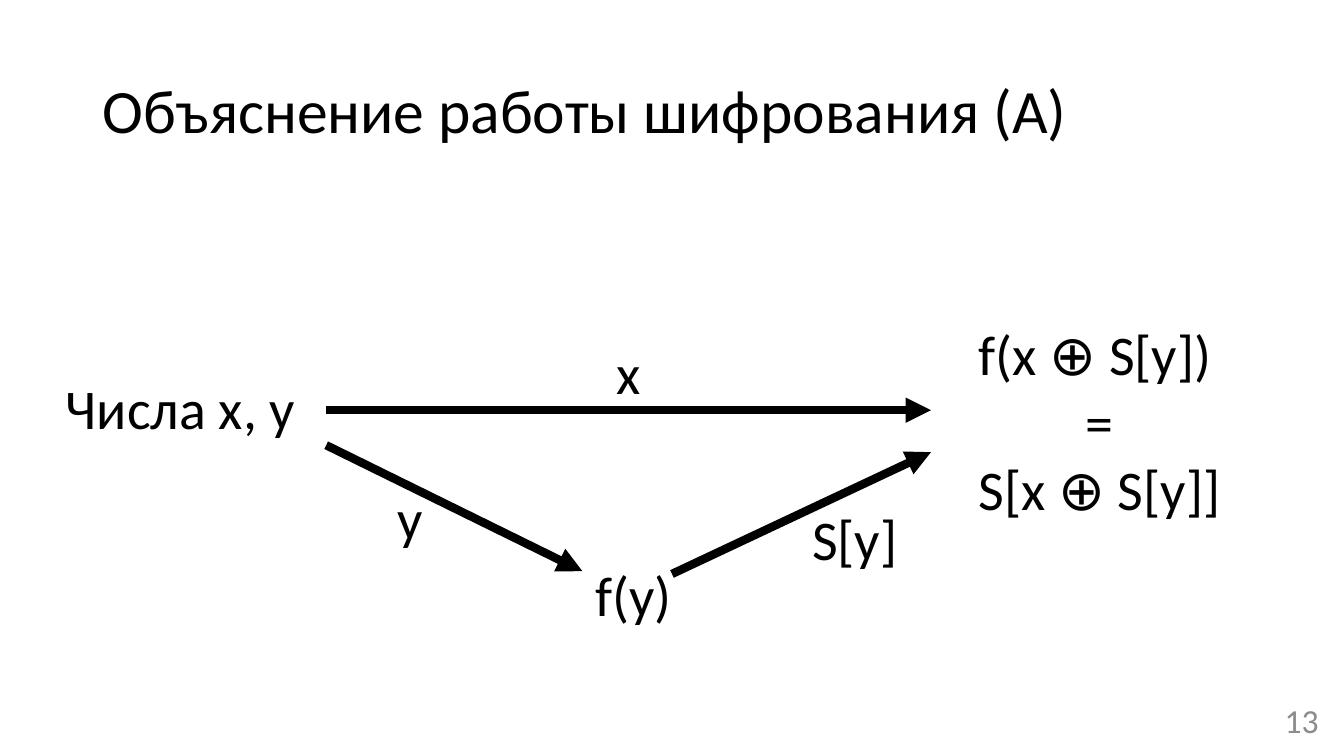
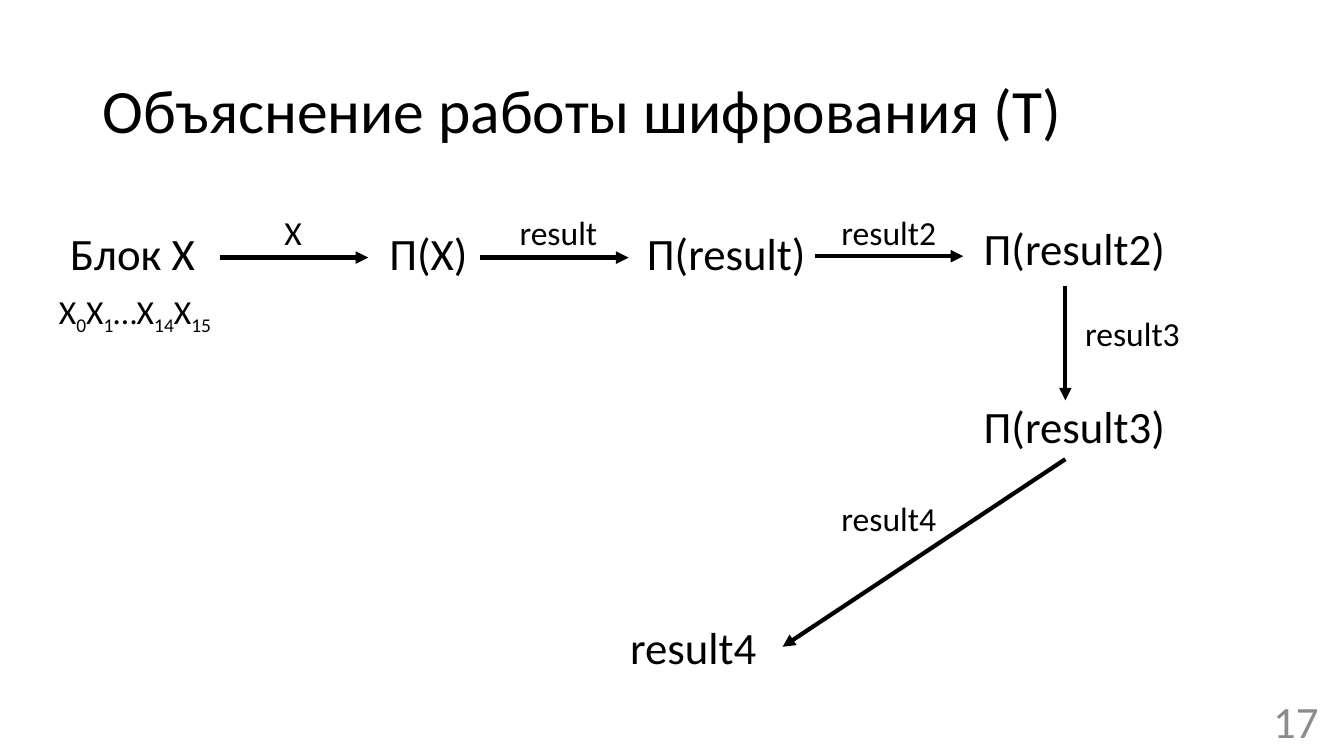
"""Build two slides that explain how the cipher works."""
from dataclasses import dataclass

from lxml import etree
from pptx import Presentation
from pptx.dml.color import RGBColor
from pptx.enum import shapes, text
from pptx.oxml import ns
from pptx.util import Pt

INK = {"black": "000000", "grey": "8C8C8C"}
FACE = "Calibri"
HIGH = {40: 55, 32: 46, 24: 36}
TITLE = {"left": 66, "top": 29, "width": 828, "height": 104}
LEAD = "Объяснение работы шифрования"
MIDDLE = text.MSO_ANCHOR.MIDDLE
FIT = {"word_wrap": False, "auto_size": text.MSO_AUTO_SIZE.SHAPE_TO_FIT_TEXT}
FIXED = {"word_wrap": True, "auto_size": text.MSO_AUTO_SIZE.NONE,
         "vertical_anchor": MIDDLE}


@dataclass
class Label:
    """Text at a place; lines split at newlines, subscripts between bars."""
    words: str
    left: float
    top: float
    width: float
    size: int
    centre: int = -1


@dataclass
class Arrow:
    """Straight arrow between two points."""
    x1: float
    y1: float
    x2: float
    y2: float


@dataclass
class Page:
    """Contents of one slide."""
    mark: str
    number: str
    size: int
    weight: float
    labels: list[Label]
    arrows: list[Arrow]


PAGES = [
    Page("(A)", "13", 24, 6, [
        Label("Числа x, y", 40, 263, 180, 40),
        Label("f(y)", 418, 397, 70, 40),
        Label("x", 433, 238, 32, 40),
        Label("y", 277, 342, 33, 40),
        Label("S[y]", 573, 357, 76, 40),
        Label("f(x ⊕ S[y])\n=\nS[x ⊕ S[y]]", 692, 225, 198, 40, 1),
    ], [
        Arrow(233, 293, 665, 293),
        Arrow(233, 318, 416, 408),
        Arrow(480, 410, 665, 323),
    ]),
    Page("(T)", "17", 32, 3, [
        Label("Блок X", 43, 158, 104, 32),
        Label("X|0|X|1|…X|14|X|15", 35, 204, 131, 24),
        Label("X", 196, 148, 27, 24),
        Label("П(X)", 271, 158, 71, 32),
        Label("result", 364, 148, 71, 24),
        Label("П(result)", 455, 158, 129, 32),
        Label("result2", 594, 148, 83, 24),
        Label("П(result2)", 695.5, 154, 145, 32),
        Label("result3", 768, 220, 83, 24),
        Label("П(result3)", 695.5, 281.5, 145, 32),
        Label("result4", 594, 352, 83, 24),
        Label("result4", 443, 439, 106, 32),
    ], [
        Arrow(157, 184, 263, 184),
        Arrow(343, 184, 449, 184),
        Arrow(582, 183, 688, 183),
        Arrow(761, 204, 761, 286),
        Arrow(761, 328, 559, 462),
    ]),
]


def apply(item, values: dict) -> None:
    """Set each named attribute."""
    for name, value in values.items():
        setattr(item, name, value)


def style(font, size: int, ink: str = "black") -> None:
    """Give a font its face, size and colour."""
    apply(font, {"name": FACE, "size": Pt(size)})
    font.color.rgb = RGBColor.from_string(INK[ink])


def draw_title(slide, mark: str) -> None:
    """Fill and place the title."""
    title = slide.shapes.title
    apply(title, {side: Pt(value) for side, value in TITLE.items()})
    apply(title.text_frame, FIXED)
    title.text_frame.text = f"{LEAD} {mark}"
    para = title.text_frame.paragraphs[0]
    apply(para, {"alignment": text.PP_ALIGN.LEFT, "line_spacing": 0.9})
    style(para.runs[0].font, 44)


def draw_number(slide, number: str, size: int) -> None:
    """Write the page number at the lower right."""
    box = slide.shapes.add_textbox(Pt(733), Pt(500), Pt(216), Pt(29))
    apply(box.text_frame, FIXED)
    para = box.text_frame.paragraphs[0]
    para.alignment = text.PP_ALIGN.RIGHT
    run = para.add_run()
    run.text = number
    style(run.font, size, "grey")


def draw_label(slide, label: Label) -> None:
    """Write a label with its lines and subscripts."""
    lines = label.words.split("\n")
    high = HIGH[label.size] + (len(lines) - 1) * 49
    box = slide.shapes.add_textbox(
        Pt(label.left), Pt(label.top), Pt(label.width), Pt(high))
    frame = box.text_frame
    apply(frame, FIT)
    for row, line in enumerate(lines):
        para = frame.add_paragraph() if row else frame.paragraphs[0]
        if row == label.centre:
            para.alignment = text.PP_ALIGN.CENTER
        for spot, part in enumerate(line.split("|")):
            run = para.add_run()
            run.text = part
            style(run.font, label.size)
            if spot % 2:
                run._r.get_or_add_rPr().set("baseline", "-25000")


def draw_arrow(slide, arrow: Arrow, weight: float) -> None:
    """Draw a line with a triangle at its end."""
    link = slide.shapes.add_connector(
        shapes.MSO_CONNECTOR.STRAIGHT, Pt(arrow.x1), Pt(arrow.y1),
        Pt(arrow.x2), Pt(arrow.y2))
    link.line.width = Pt(weight)
    link.line.color.rgb = RGBColor.from_string(INK["black"])
    props = link._element.spPr
    etree.SubElement(props.find(ns.qn("a:ln")), ns.qn("a:tailEnd"),
                     type="triangle")
    etree.SubElement(props, ns.qn("a:effectLst"))


def main() -> None:
    """Build and save the deck."""
    deck = Presentation()
    apply(deck, {"slide_width": Pt(960), "slide_height": Pt(540)})
    for page in PAGES:
        slide = deck.slides.add_slide(deck.slide_layouts[5])
        draw_title(slide, page.mark)
        draw_number(slide, page.number, page.size)
        for label in page.labels:
            draw_label(slide, label)
        for arrow in page.arrows:
            draw_arrow(slide, arrow, page.weight)
    deck.save("out.pptx")


if __name__ == "__main__":
    main()
